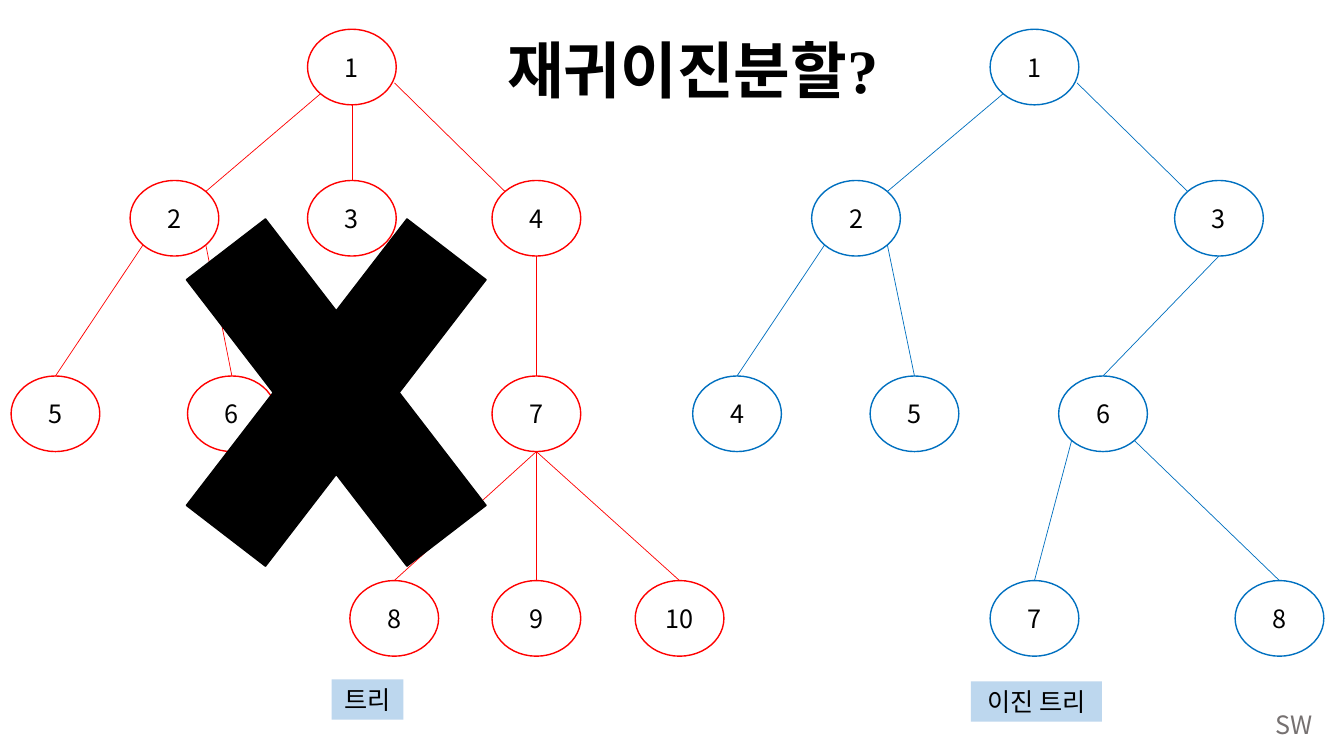
from dataclasses import dataclass

from lxml.etree import SubElement
from pptx import Presentation
from pptx.dml.color import RGBColor
from pptx.enum.shapes import MSO_CONNECTOR, MSO_SHAPE
from pptx.enum.text import MSO_ANCHOR, MSO_AUTO_SIZE, PP_ALIGN
from pptx.oxml.ns import qn
from pptx.util import Inches, Pt

SANS = "Noto Sans CJK KR"
NODE_W, NODE_H = 0.88, 0.75
ROW_TOPS = (0.29, 1.79, 3.73, 5.76)
ANCHORS = {
    "top": (0.5, 0),
    "top left": (0.146, 0.146),
    "top right": (0.854, 0.146),
    "shoulder": (0.98, 0.71),
    "bottom": (0.5, 1),
    "bottom left": (0.146, 0.854),
    "bottom right": (0.854, 0.854),
}


@dataclass
class Node:
    label: str
    left: float
    row: int

    def anchor(self, name: str) -> tuple:
        fx, fy = ANCHORS[name]
        return self.left + NODE_W * fx, ROW_TOPS[self.row] + NODE_H * fy


@dataclass
class Edge:
    parent: int
    start: str
    child: int
    end: str = "top"


@dataclass
class Tree:
    color: str
    nodes: list
    edges: list


@dataclass
class Label:
    text: str
    left: float
    top: float
    width: float
    color: str = "000000"
    fill: str = ""


TREES = [
    Tree(
        "FF0000",
        [
            Node("1", 3.05, 0),
            Node("2", 1.29, 1), Node("3", 3.05, 1), Node("4", 4.88, 1),
            Node("5", 0.11, 2), Node("6", 1.86, 2), Node("7", 4.88, 2),
            Node("8", 3.47, 3), Node("9", 4.88, 3), Node("10", 6.3, 3),
        ],
        [
            Edge(1, "bottom left", 2, "top right"),
            Edge(1, "bottom", 3),
            Edge(1, "shoulder", 4, "top left"),
            Edge(2, "bottom left", 5),
            Edge(2, "bottom right", 6),
            Edge(4, "bottom", 7),
            Edge(7, "bottom", 8),
            Edge(7, "bottom", 9),
            Edge(7, "bottom", 10),
        ],
    ),
    Tree(
        "0070C0",
        [
            Node("1", 9.82, 0),
            Node("2", 8.05, 1), Node("3", 11.65, 1),
            Node("4", 6.87, 2), Node("5", 8.63, 2), Node("6", 10.5, 2),
            Node("7", 9.82, 3), Node("8", 12.25, 3),
        ],
        [
            Edge(1, "bottom left", 2, "top right"),
            Edge(1, "shoulder", 3, "top left"),
            Edge(2, "bottom left", 4),
            Edge(2, "bottom right", 5),
            Edge(3, "bottom", 6),
            Edge(6, "bottom left", 7),
            Edge(6, "bottom right", 8),
        ],
    ),
]

LABELS = [
    Label("트리", 3.29, 6.74, 0.71, fill="BDD7EE"),
    Label("이진 트리", 9.63, 6.76, 1.3, fill="BDD7EE"),
    Label("SW", 12.54, 6.99, 0.58, color="767171"),
]


def rgb(color: str) -> RGBColor:
    return RGBColor.from_string(color)


def write(tf, text: str, size: int = 18, font: str = SANS,
          color: str = "000000", bold: bool = False) -> None:
    tf.text = text
    p = tf.paragraphs[0]
    p.alignment = PP_ALIGN.CENTER
    r = p.runs[0]
    r.font.size = Pt(size)
    r.font.name = font
    r.font.bold = bold
    r.font.color.rgb = rgb(color)
    SubElement(r.font._element, qn("a:ea")).set("typeface", SANS)


def add_filled(s, kind, left: float, top: float, width: float, height: float,
               fill: str, line: str):
    sp = s.shapes.add_shape(kind, Inches(left), Inches(top),
                            Inches(width), Inches(height))
    sp.shadow.inherit = False
    sp.fill.solid()
    sp.fill.fore_color.rgb = rgb(fill)
    sp.line.color.rgb = rgb(line)
    sp.line.width = Pt(1)
    return sp


def add_tree(s, tree: Tree) -> None:
    for node in tree.nodes:
        sp = add_filled(s, MSO_SHAPE.OVAL, node.left, ROW_TOPS[node.row],
                        NODE_W, NODE_H, "FFFFFF", tree.color)
        sp.text_frame.vertical_anchor = MSO_ANCHOR.MIDDLE
        write(sp.text_frame, node.label)
    for edge in tree.edges:
        x1, y1 = tree.nodes[edge.parent - 1].anchor(edge.start)
        x2, y2 = tree.nodes[edge.child - 1].anchor(edge.end)
        line = s.shapes.add_connector(MSO_CONNECTOR.STRAIGHT, Inches(x1),
                                      Inches(y1), Inches(x2), Inches(y2))
        line.line.color.rgb = rgb(tree.color)
        line.line.width = Pt(0.5)
        SubElement(line._element.spPr, qn("a:effectLst"))


def add_label(s, label: Label) -> None:
    sp = s.shapes.add_textbox(Inches(label.left), Inches(label.top),
                              Inches(label.width), Inches(0.4))
    if label.fill:
        sp.fill.solid()
        sp.fill.fore_color.rgb = rgb(label.fill)
    tf = sp.text_frame
    tf.word_wrap = False
    tf.auto_size = MSO_AUTO_SIZE.SHAPE_TO_FIT_TEXT
    write(tf, label.text, color=label.color)


def add_title(s, text: str) -> None:
    sp = s.shapes.title
    sp.left, sp.top = Inches(1.12), Inches(-0.34)
    sp.width, sp.height = Inches(11.5), Inches(1.45)
    tf = sp.text_frame
    tf.vertical_anchor = MSO_ANCHOR.BOTTOM
    tf.auto_size = MSO_AUTO_SIZE.NONE
    write(tf, text, 44, "Times New Roman", bold=True)
    tf.paragraphs[0].line_spacing = 0.9


def main() -> None:
    prs = Presentation()
    prs.slide_width, prs.slide_height = Inches(13.33), Inches(7.5)
    s = prs.slides.add_slide(prs.slide_layouts[5])
    add_title(s, "재귀이진분할?")
    for tree in TREES:
        add_tree(s, tree)
    for label in LABELS:
        add_label(s, label)
    add_filled(s, MSO_SHAPE.MATH_MULTIPLY, 1.23, 1.16, 4.21, 5.47,
               "000000", "000000")
    prs.save("out.pptx")


if __name__ == "__main__":
    main()
